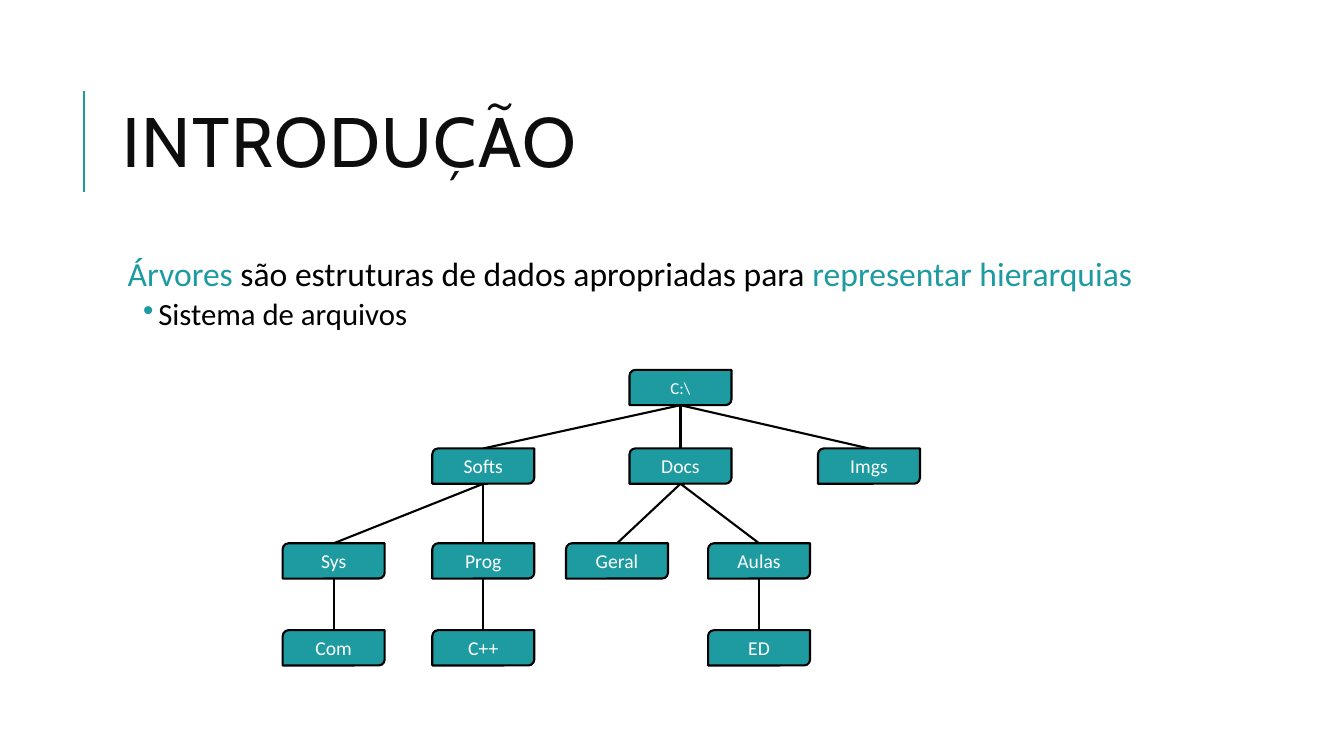
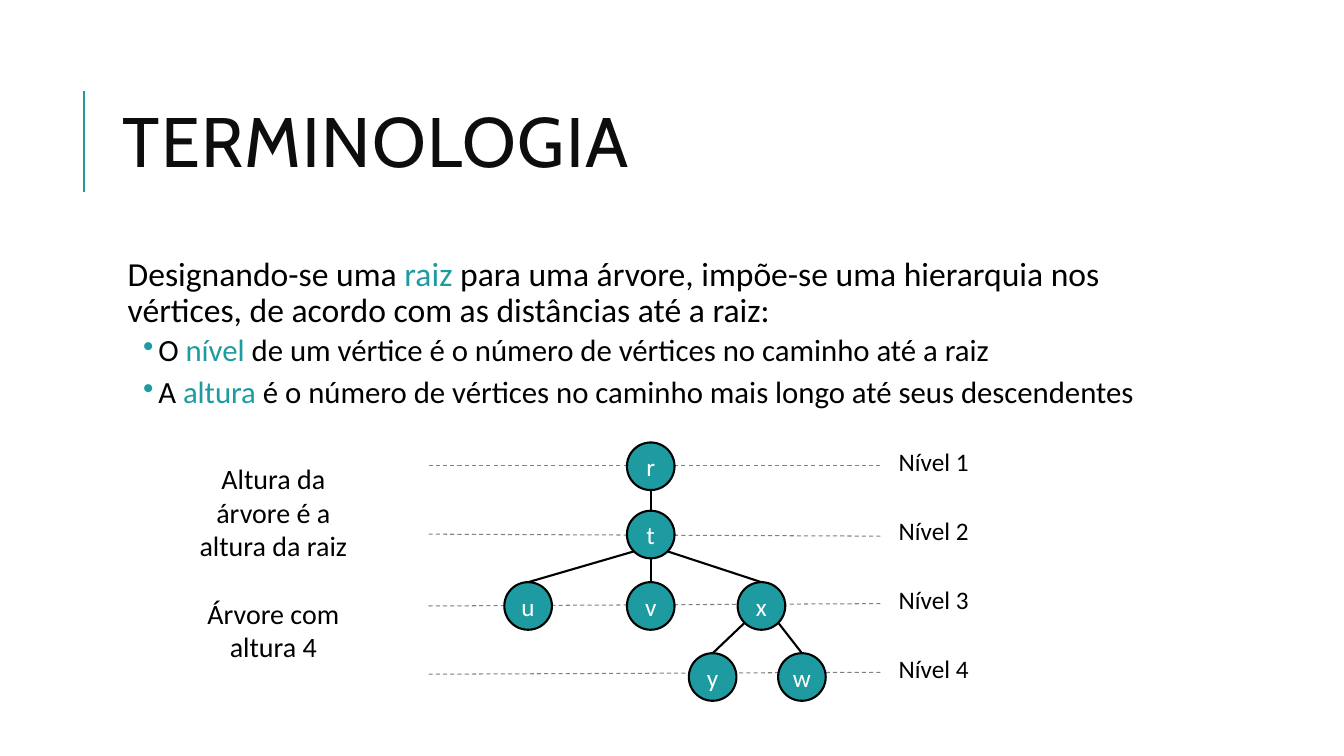
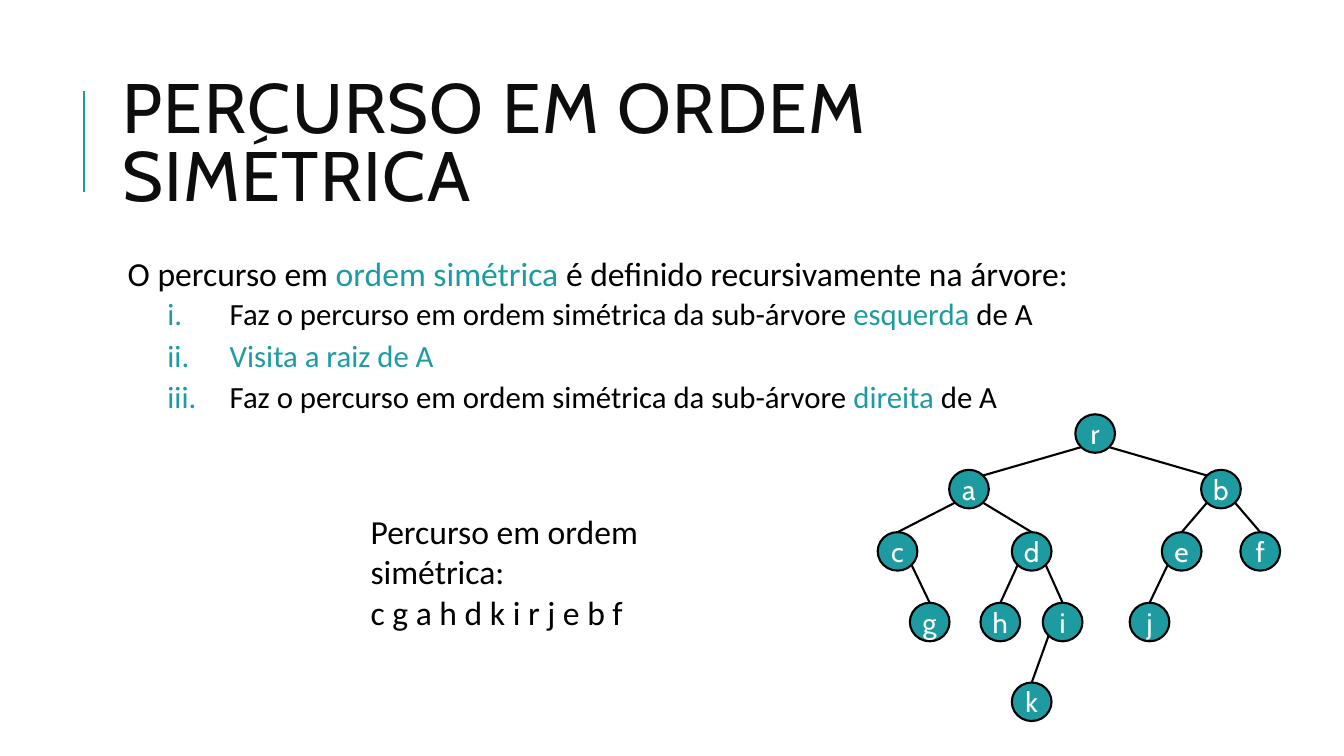
from math import sqrt
from lxml.etree import SubElement
from pptx import Presentation
from pptx.dml.color import RGBColor
from pptx.enum.dml import MSO_LINE
from pptx.enum.shapes import MSO_CONNECTOR, MSO_SHAPE
from pptx.enum.text import MSO_ANCHOR, PP_ALIGN
from pptx.oxml.ns import qn
from pptx.util import Cm, Pt

# Content: lengths in cm; words between asterisks take the accent colour.
TEAL, BLACK, INK, GREY, WHITE = "1D9BA1", "000000", "0D0D0D", "808080", "FFFFFF"
BODY, HEAD = "Calibri", "Cabin"

INTRO = [
    ("lead", "*Árvores* são estruturas de dados apropriadas para *representar hierarquias*"),
    ("dot", "Sistema de arquivos"),
]
TERMS = [
    ("lead", "Designando-se uma *raiz* para uma árvore, impõe-se uma hierarquia nos "
             "vértices, de acordo com as distâncias até a raiz:"),
    ("dot", "O *nível *de um vértice é o número de vértices no caminho até a raiz"),
    ("dot", "A *altura* é o número de vértices no caminho mais longo até seus descendentes"),
]
ORDER = [
    ("lead", "O percurso em *ordem simétrica* é definido recursivamente na árvore:"),
    ("roman", "Faz o percurso em ordem simétrica da sub-árvore *esquerda* de A"),
    ("roman", "*Visita a raiz de A*"),
    ("roman", "Faz o percurso em ordem simétrica da sub-árvore *direita *de A"),
]
# Paragraph kind: size, left margin, indent, space before, space after
KINDS = {
    "lead": (24, 0.25, 0, 12, 2),
    "dot": (22, 1.02, -0.38, 2, 4),
    "roman": (22, 2.82, -1.57, 2, 4),
}

# Trees: (name, parent, centre x); the depth picks the row
FILES = [
    ("C:\\", None, 17.15), ("Softs", "C:\\", 12.18), ("Docs", "C:\\", 17.15),
    ("Imgs", "C:\\", 21.9), ("Sys", "Softs", 8.41), ("Prog", "Softs", 12.18),
    ("Geral", "Docs", 15.55), ("Aulas", "Docs", 19.13), ("Com", "Sys", 8.41),
    ("C++", "Prog", 12.18), ("ED", "Aulas", 19.13),
]
LEVELS = [
    ("r", None, 16.4), ("t", "r", 16.4), ("u", "t", 13.31), ("v", "t", 16.4),
    ("x", "t", 19.19), ("y", "x", 17.96), ("w", "x", 20.21),
]
BINARY = [
    ("r", None, 27.6), ("a", "r", 24.42), ("b", "r", 30.77), ("c", "a", 22.62),
    ("d", "a", 26), ("e", "b", 29.78), ("f", "b", 31.76), ("g", "c", 23.43),
    ("h", "d", 25.21), ("i", "d", 26.78), ("j", "e", 28.97), ("k", "i", 26),
]
FILE_ROWS = [9.32, 11.3, 13.69, 15.88]
LEVEL_ROWS = [11.15, 12.87, 14.67, 16.46]
BINARY_ROWS = [10.44, 11.84, 13.41, 15.19, 17.2]
GUIDES = [(11.73, 11.73), (13.46, 13.51), (15.27, 15.21), (16.99, 16.94)]
HEIGHT = ["Altura da árvore é a altura da raiz", "Árvore com altura 4"]
RESULT = ["Percurso em ordem simétrica:", "c g a h d k i r j e b f"]


def rgb(code):
    """Turn a hex string into a colour."""
    return RGBColor.from_string(code)


def style(run, size, color=BLACK, font=BODY):
    """Set the font of one run."""
    run.font.size, run.font.name = Pt(size), font
    run.font.color.rgb = rgb(color)


def line(slide, start, end, color=BLACK, width=1.5):
    """Draw a straight line between two points."""
    rule = slide.shapes.add_connector(
        MSO_CONNECTOR.STRAIGHT, *(Cm(v) for v in (*start, *end)))
    rule.line.color.rgb, rule.line.width = rgb(color), Pt(width)
    SubElement(rule._element.spPr, qn("a:effectLst"))
    return rule


def box(slide, place, lines, size, color=BLACK, font=BODY, wrap=True):
    """Add a text box with one paragraph per line."""
    frame = slide.shapes.add_textbox(*map(Cm, place)).text_frame
    frame.word_wrap = wrap
    frame.text = "\n".join(lines)
    for para in frame.paragraphs:
        style(para.runs[0], size, color, font)
    return frame


def bullet(para, kind):
    """Give a paragraph its indent and its bullet."""
    props = para._p.get_or_add_pPr()
    left, indent = KINDS[kind][1:3]
    props.set("marL", str(Cm(left)))
    props.set("indent", str(Cm(indent)))
    if kind == "lead":
        SubElement(props, qn("a:buNone"))
        return
    SubElement(SubElement(props, qn("a:buClr")), qn("a:srgbClr"), val=TEAL)
    if kind == "dot":
        SubElement(props, qn("a:buChar"), char="•")
    else:
        SubElement(props, qn("a:buAutoNum"), type="romanLcPeriod")


def page(deck, title, body):
    """Add a slide with its side bar, title and body text."""
    slide = deck.slides.add_slide(deck.slide_layouts[6])
    line(slide, (2.11, 4.83), (2.11, 2.29), TEAL)
    head = box(slide, (2.84, 1.63, 27, 4.17), [title], 50, INK, HEAD)
    head.vertical_anchor = MSO_ANCHOR.MIDDLE
    para = head.paragraphs[0]
    para.line_spacing = 0.8
    para.runs[0].font._element.set("spc", "100")

    frame = slide.shapes.add_textbox(*map(Cm, (2.84, 6.35, 27, 11.18))).text_frame
    frame.word_wrap = True
    frame.margin_left = frame.margin_right = Cm(0.13)
    frame.margin_top = frame.margin_bottom = Cm(0.13)
    for row, (kind, text) in enumerate(body):
        para = frame.add_paragraph() if row else frame.paragraphs[0]
        size, _, _, before, after = KINDS[kind]
        para.line_spacing = 0.9
        para.space_before, para.space_after = Pt(before), Pt(after)
        bullet(para, kind)
        for part, words in enumerate(text.split("*")):
            if words:
                run = para.add_run()
                run.text = words
                style(run, size, TEAL if part % 2 else BLACK)
    return slide


def node(slide, shape, place, name, size, font):
    """Draw one labelled tree node."""
    item = slide.shapes.add_shape(shape, *map(Cm, place))
    item.shadow.inherit = False
    item.fill.solid()
    item.fill.fore_color.rgb = rgb(TEAL)
    item.line.color.rgb, item.line.width = rgb(BLACK), Pt(1.5)
    frame = item.text_frame
    frame.margin_left = frame.margin_right = 0
    frame.margin_top = frame.margin_bottom = 0
    frame.word_wrap = False
    frame.vertical_anchor = MSO_ANCHOR.MIDDLE
    frame.text = name
    frame.paragraphs[0].alignment = PP_ALIGN.CENTER
    style(frame.paragraphs[0].runs[0], size, WHITE, font)
    return item


def tree(slide, items, rows, shape, wide, high, size, font=BODY):
    """Draw the branches, then the nodes; return the nodes by name."""
    depth, spots = {None: -1}, {}
    for name, parent, x in items:
        depth[name] = depth[parent] + 1
        spots[name] = (x, rows[depth[name]])
    for name, parent, x in items:
        if parent is None:
            continue
        (px, py), y = spots[parent], spots[name][1]
        side = (x > px) - (x < px)
        start, end = (px, py + high), (x, y)
        if shape == MSO_SHAPE.OVAL and side:
            dx, dy = side * wide / sqrt(8), high / sqrt(8)
            start = (px + dx, py + high / 2 + dy)
            if abs(x - px) > 3 * wide:
                end = (x - dx, y + high / 2 - dy)
        line(slide, start, end)
    return {name: node(slide, shape, (x - wide / 2, y, wide, high), name, size, font)
            for name, (x, y) in spots.items()}


deck = Presentation()
deck.slide_width, deck.slide_height = Cm(33.87), Cm(19.05)

slide = page(deck, "INTRODUÇÃO", INTRO)
nodes = tree(slide, FILES, FILE_ROWS, MSO_SHAPE.ROUND_2_DIAG_RECTANGLE, 2.57, 0.89, 14)
nodes["C:\\"].text_frame.paragraphs[0].runs[0].font.size = Pt(12)

slide = page(deck, "TERMINOLOGIA", TERMS)
for level, (left, right) in enumerate(GUIDES):
    guide = line(slide, (10.8, left), (22.2, right), GREY, 0.75)
    guide.line.dash_style = MSO_LINE.DASH
    box(slide, (22.4, 11.13 + 1.74 * level, 2.34, 1.02), [f"Nível {level + 1}"], 18,
        wrap=False)
tree(slide, LEVELS, LEVEL_ROWS, MSO_SHAPE.OVAL, 1.2, 1.2, 18)
note = box(slide, (4.5, 11.51, 4.78, 5.38), HEIGHT, 20)
for para in note.paragraphs:
    para.alignment = PP_ALIGN.CENTER
note.paragraphs[1].space_before = Pt(24)

slide = page(deck, "PERCURSO EM ORDEM SIMÉTRICA", ORDER)
box(slide, (9.09, 12.75, 10.36, 2.31), RESULT, 24)
tree(slide, BINARY, BINARY_ROWS, MSO_SHAPE.OVAL, 1, 0.97, 20, HEAD)

deck.save("out.pptx")
